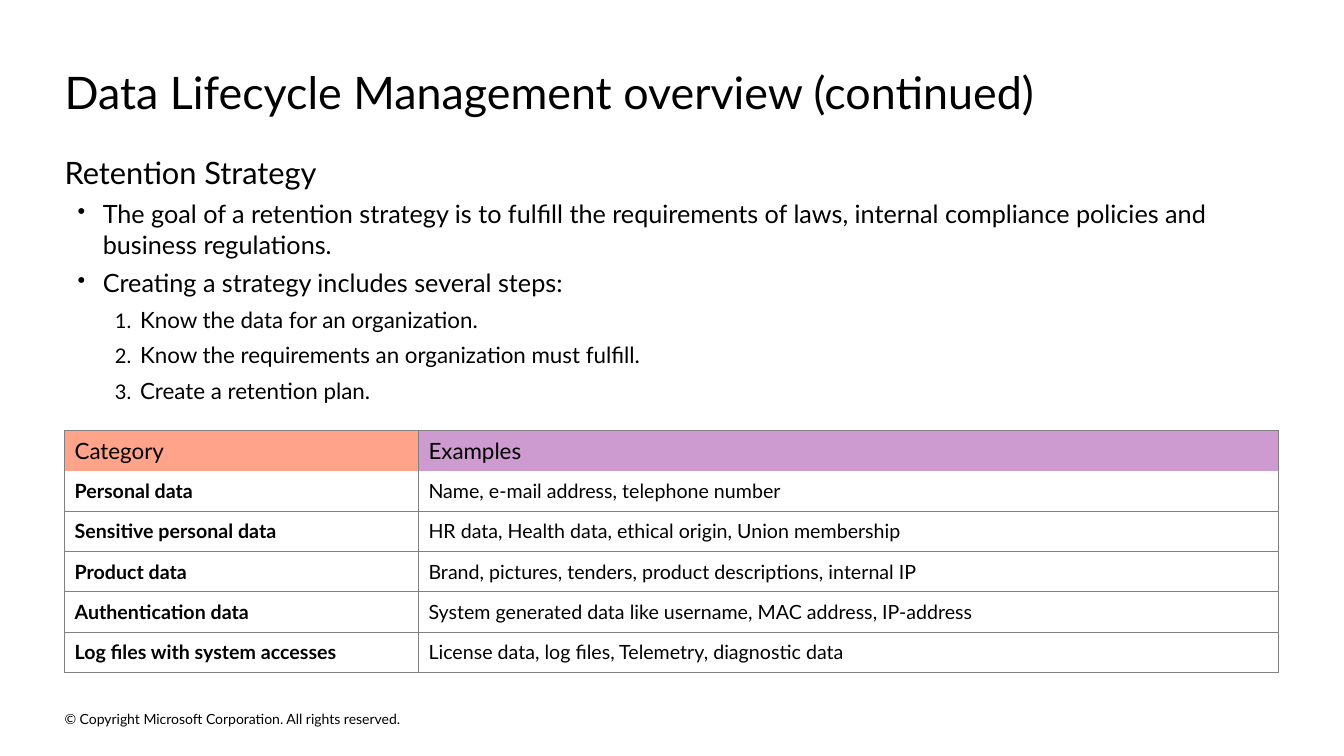
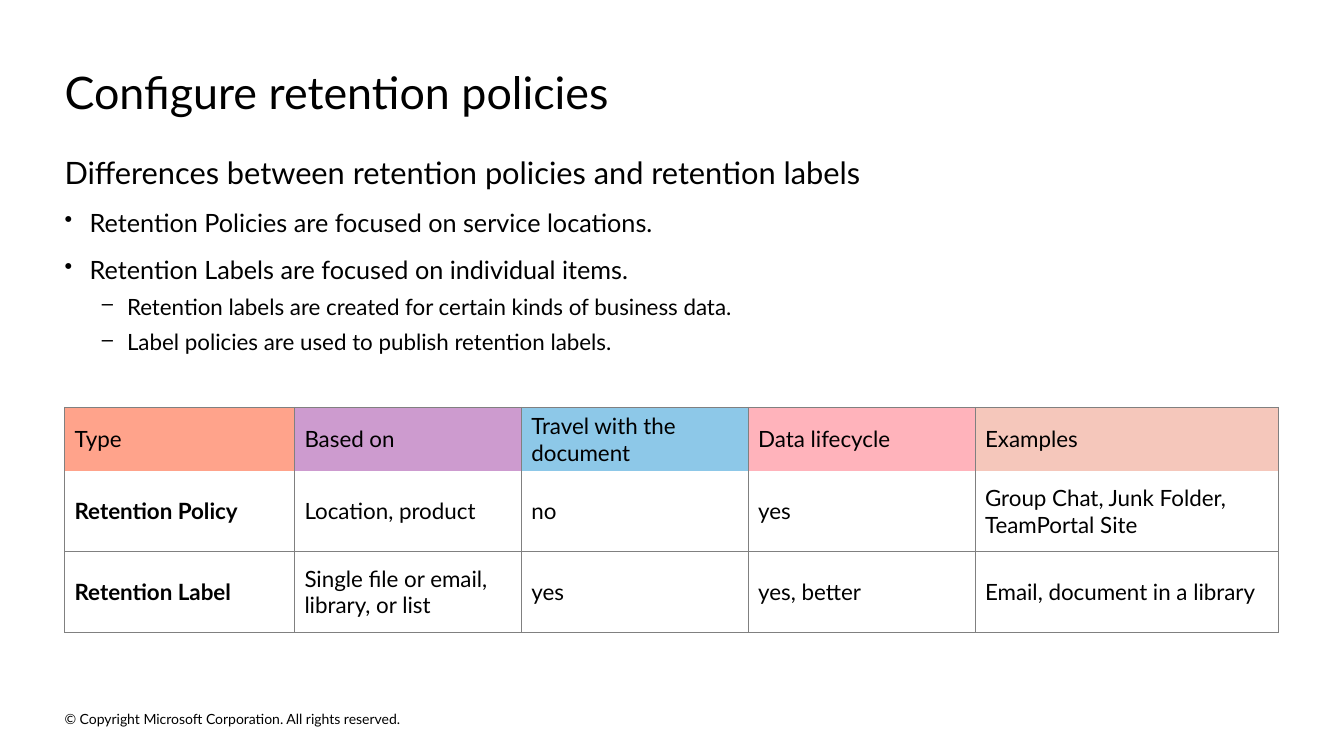
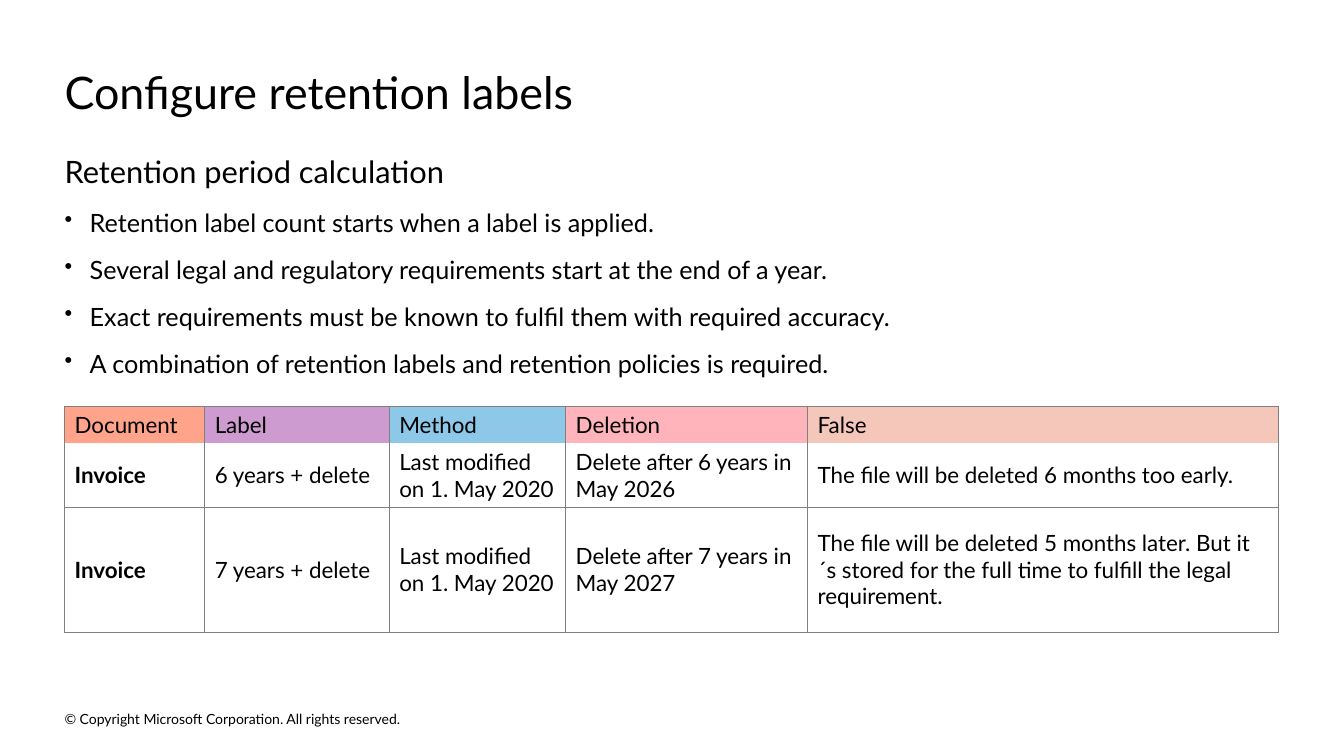
from lxml.etree import SubElement
from pptx import Presentation
from pptx.dml.color import RGBColor
from pptx.enum.text import MSO_ANCHOR as Anchor, MSO_AUTO_SIZE as AutoSize, PP_ALIGN as Align
from pptx.oxml.ns import qn
from pptx.util import Inches, Pt

FONT = "Lato"
BLACK = RGBColor(0x00, 0x00, 0x00)
GREY = RGBColor(0x80, 0x80, 0x80)
HEADER_FILLS = [
    RGBColor(0xFF, 0xA3, 0x8B),
    RGBColor(0xCD, 0x9B, 0xCF),
    RGBColor(0x8D, 0xC8, 0xE8),
    RGBColor(0xFF, 0xB3, 0xBB),
    RGBColor(0xF5, 0xC7, 0xBB),
]
LEFT, WIDTH = 0.64, 12.04
TITLE_BOX = (LEFT, 0.64, WIDTH, 0.54)
FOOTER_BOX = (LEFT, 7.02, 4.54, 0.22)
FOOTER = "© Copyright Microsoft Corporation. All rights reserved."

LEVELS = {
    "heading": dict(size=22),
    "bullet": dict(size=18, indent=0.25, bullet="•"),
    "inset bullet": dict(size=18, indent=0.38, bullet="•"),
    "dash": dict(size=16, indent=0.62, bullet="–"),
    "step": dict(size=16, indent=0.75, bullet="1."),
}

SLIDES = [
    dict(
        title="Data Lifecycle Management overview (continued)",
        body_height=2.51,
        body=[
            ("heading", 6, "Retention Strategy"),
            ("inset bullet", 6, "The goal of a retention strategy is to fulfill the requirements of laws, "
                                "internal compliance policies and business regulations."),
            ("inset bullet", 6, "Creating a strategy includes several steps:"),
            ("step", 6, "Know the data for an organization."),
            ("step", 6, "Know the requirements an organization must fulfill."),
            ("step", 6, "Create a retention plan."),
        ],
        table_top=4.27,
        columns=[3.51, 8.53],
        rows=[0.4] * 6,
        cell_size=14,
        cell_after=10,
        cells=[
            ("Category", "Examples"),
            ("Personal data", "Name, e-mail address, telephone number"),
            ("Sensitive personal data", "HR data, Health data, ethical origin, Union membership"),
            ("Product data", "Brand, pictures, tenders, product descriptions, internal IP"),
            ("Authentication data", "System generated data like username, MAC address, IP-address"),
            ("Log files with system accesses", "License data, log files, Telemetry, diagnostic data"),
        ],
    ),
    dict(
        title="Configure retention policies",
        body_height=2.02,
        body=[
            ("heading", 12, "Differences between retention policies and retention labels"),
            ("bullet", 12, "Retention Policies are focused on service locations."),
            ("bullet", 6, "Retention Labels are focused on individual items."),
            ("dash", 6, "Retention labels are created for certain kinds of business data."),
            ("dash", 12, "Label policies are used to publish retention labels."),
        ],
        table_top=4.04,
        columns=[2.28, 2.25, 2.25, 2.25, 3.01],
        rows=[0.63, 0.8, 0.8],
        cell_size=16,
        cell_after=10,
        cells=[
            ("Type", "Based on", "Travel with the document", "Data lifecycle", "Examples"),
            ("Retention Policy", "Location, product", "no", "yes", "Group Chat, Junk Folder, TeamPortal Site"),
            ("Retention Label", "Single file or email, library, or list", "yes", "yes, better",
             "Email, document in a library"),
        ],
    ),
    dict(
        title="Configure retention labels",
        body_height=2.26,
        body=[
            ("heading", 12, "Retention period calculation"),
            ("bullet", 12, "Retention label count starts when a label is applied."),
            ("bullet", 12, "Several legal and regulatory requirements start at the end of a year."),
            ("bullet", 12, "Exact requirements must be known to fulfil them with required accuracy."),
            ("bullet", 12, "A combination of retention labels and retention policies is required."),
        ],
        table_top=4.03,
        columns=[1.39, 1.83, 1.75, 2.4, 4.67],
        rows=[0.37, 0.63, 1.24],
        cell_size=16,
        cell_after=6,
        cells=[
            ("Document", "Label", "Method", "Deletion", "False"),
            ("Invoice", "6 years + delete", "Last modified on 1. May 2020", "Delete after 6 years in May 2026",
             "The file will be deleted 6 months too early."),
            ("Invoice", "7 years + delete", "Last modified on 1. May 2020", "Delete after 7 years in May 2027",
             "The file will be deleted 5 months later. But it´s stored for the full time to fulfill "
             "the legal requirement."),
        ],
    ),
]


def write(frame, text, size, bold=False, after=0, indent=0, bullet=None):
    paragraph = frame.paragraphs[0]
    if paragraph.runs:
        paragraph = frame.add_paragraph()
    if bullet:
        properties = paragraph._p.get_or_add_pPr()
        properties.set("marL", str(Inches(indent)))
        properties.set("indent", str(-Inches(0.25)))
        SubElement(properties, qn("a:buSzPct"), val="90000")
        if bullet == "1.":
            SubElement(properties, qn("a:buAutoNum"), type="arabicPeriod")
        else:
            SubElement(properties, qn("a:buChar"), char=bullet)
    paragraph.alignment = Align.LEFT
    paragraph.space_before = Pt(0)
    paragraph.space_after = Pt(after)
    run = paragraph.add_run()
    run.text = text
    run.font.name = FONT
    run.font.size = Pt(size)
    run.font.bold = bold
    run.font.color.rgb = BLACK


def prepare(frame, anchor=Anchor.TOP):
    frame.margin_left = frame.margin_top = frame.margin_right = frame.margin_bottom = 0
    frame.word_wrap = True
    frame.auto_size = AutoSize.NONE
    frame.vertical_anchor = anchor
    return frame


def text_area(slide, box, anchor=Anchor.TOP):
    return prepare(slide.shapes.add_textbox(*map(Inches, box)).text_frame, anchor)


def add_title(slide, text):
    title = slide.shapes.title
    title.left, title.top, title.width, title.height = map(Inches, TITLE_BOX)
    write(prepare(title.text_frame), text, size=32)


def set_borders(cell, hidden):
    properties = cell._tc.get_or_add_tcPr()
    for side in "LRTB":
        line = SubElement(properties, qn(f"a:ln{side}"), w=str(Pt(0.5)))
        if side == hidden:
            SubElement(line, qn("a:noFill"))
        else:
            SubElement(SubElement(line, qn("a:solidFill")), qn("a:srgbClr"), val=str(GREY))


def add_table(slide, content):
    columns, rows = content["columns"], content["rows"]
    box = (LEFT, content["table_top"], sum(columns), sum(rows))
    table = slide.shapes.add_table(len(rows), len(columns), *map(Inches, box)).table
    table.first_row = table.horz_banding = False
    for column, width in zip(table.columns, columns):
        column.width = Inches(width)
    for r, (height, texts) in enumerate(zip(rows, content["cells"])):
        table.rows[r].height = Inches(height)
        for c, text in enumerate(texts):
            cell = table.cell(r, c)
            cell.vertical_anchor = Anchor.MIDDLE
            set_borders(cell, hidden={0: "B", 1: "T"}.get(r))
            if r == 0:
                cell.fill.solid()
                cell.fill.fore_color.rgb = HEADER_FILLS[c]
            else:
                cell.fill.background()
            write(cell.text_frame, text, size=content["cell_size"] if r else 16,
                  bold=r > 0 and c == 0, after=content["cell_after"])


def main():
    deck = Presentation()
    deck.slide_width, deck.slide_height = Inches(13.33), Inches(7.5)
    for content in SLIDES:
        slide = deck.slides.add_slide(deck.slide_layouts[5])
        write(text_area(slide, FOOTER_BOX, Anchor.MIDDLE), FOOTER, size=10)
        add_title(slide, content["title"])
        body = text_area(slide, (LEFT, 1.52, WIDTH, content["body_height"]))
        for level, after, text in content["body"]:
            write(body, text, after=after, **LEVELS[level])
        add_table(slide, content)
    deck.save("out.pptx")


if __name__ == "__main__":
    main()
